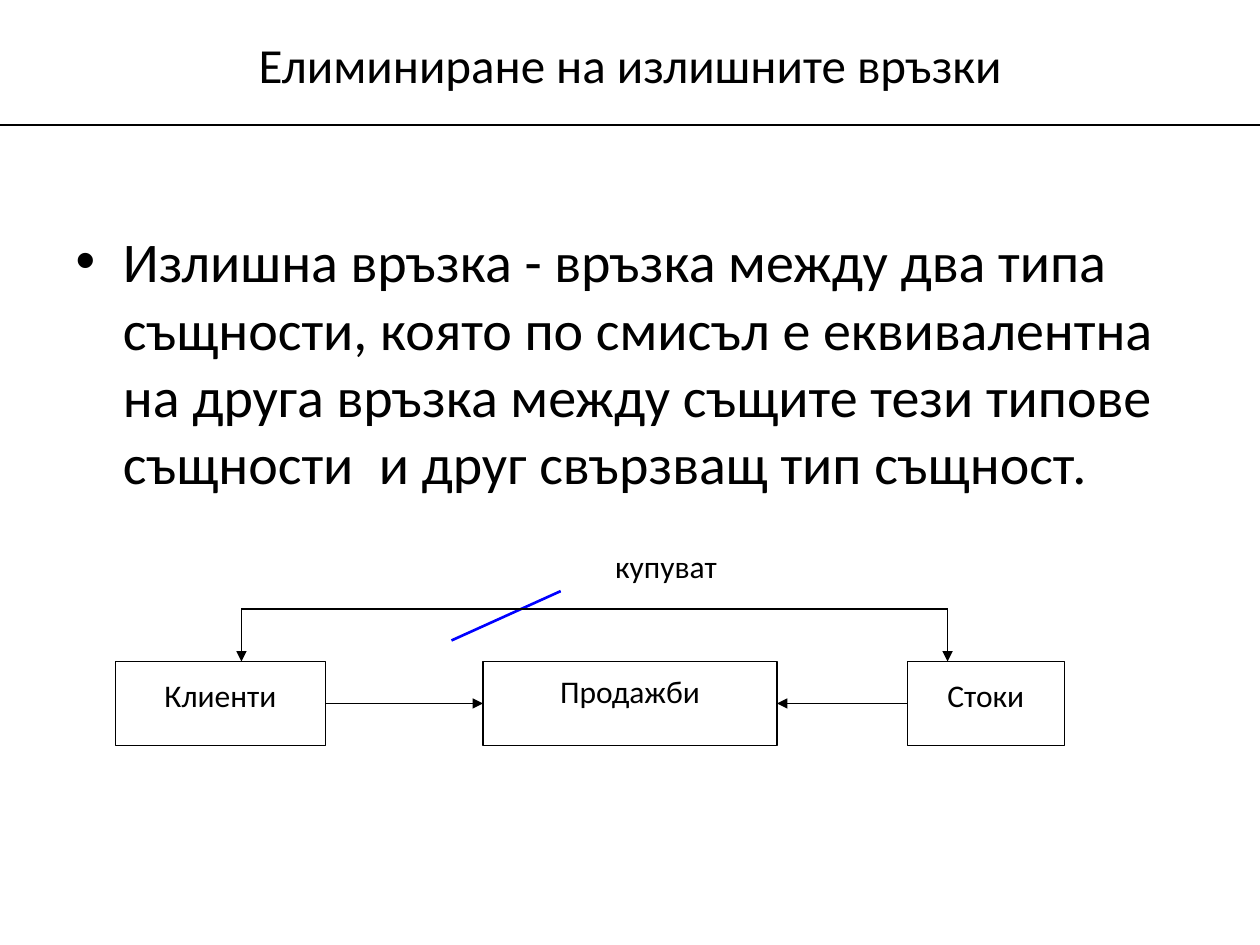
from lxml import etree
from pptx import Presentation
from pptx.dml.color import RGBColor
from pptx.enum.shapes import MSO_CONNECTOR, MSO_SHAPE
from pptx.enum.text import MSO_ANCHOR, MSO_AUTO_SIZE, PP_ALIGN
from pptx.oxml.ns import qn
from pptx.util import Inches, Pt

STRAIGHT = MSO_CONNECTOR.STRAIGHT
RECTANGLE = MSO_SHAPE.RECTANGLE
MIDDLE = MSO_ANCHOR.MIDDLE
GROW = MSO_AUTO_SIZE.SHAPE_TO_FIT_TEXT
NO_FIT = MSO_AUTO_SIZE.NONE
LEFT, CENTER = PP_ALIGN.LEFT, PP_ALIGN.CENTER
BLACK = RGBColor(0x00, 0x00, 0x00)
BLUE = RGBColor(0x00, 0x00, 0xFF)
FONT = "Calibri"
COLUMNS, ROWS = 120, 90
SLIDE_WIDTH, SLIDE_HEIGHT = Inches(10), Inches(7.5)
LEFT_SIDE, RIGHT_SIDE = 1, 3
BOX_TOP, BOX_HEIGHT = 63, 8
BRACKET_ROW, BRACKET_LEFT, BRACKET_RIGHT = 58, 23, 90.25


def across(columns):
    return round(SLIDE_WIDTH * columns / COLUMNS)


def down(rows):
    return round(SLIDE_HEIGHT * rows / ROWS)


def area(left, top, width, height):
    return across(left), down(top), across(width), down(height)


def write(shape, text, size=18, align=LEFT, wrap=True, fit=GROW):
    frame = shape.text_frame
    frame.word_wrap = wrap
    frame.auto_size = fit
    paragraph = frame.paragraphs[0]
    paragraph.alignment = align
    run = paragraph.add_run()
    run.text = text
    run.font.name = FONT
    run.font.size = Pt(size)
    run.font.color.rgb = BLACK


def fill_placeholder(shape, text, place, **text_format):
    shape.left, shape.top, shape.width, shape.height = area(*place)
    write(shape, text, fit=NO_FIT, **text_format)


def add_label(slide, text, place, **text_format):
    write(slide.shapes.add_textbox(*area(*place)), text, **text_format)


def add_box(slide, left, width):
    box = slide.shapes.add_shape(RECTANGLE, *area(left, BOX_TOP, width, BOX_HEIGHT))
    box.shadow.inherit = False
    box.fill.background()
    box.line.color.rgb = BLACK
    box.line.width = Pt(0.75)
    return box


def add_line(slide, start=(0, 0), end=(0, 0), color=BLACK, width=0.75, arrow=False):
    line = slide.shapes.add_connector(
        STRAIGHT, across(start[0]), down(start[1]), across(end[0]), down(end[1]))
    line.line.color.rgb = color
    line.line.width = Pt(width)
    properties = line._element.spPr
    etree.SubElement(properties, qn("a:effectLst"))
    if arrow:
        etree.SubElement(properties.find(qn("a:ln")), qn("a:tailEnd"), type="triangle")
    return line


def join(slide, source, source_side, target, target_side):
    line = add_line(slide, arrow=True)
    line.begin_connect(source, source_side)
    line.end_connect(target, target_side)


def main():
    """Build the slide about eliminating redundant relationships."""
    presentation = Presentation()
    presentation.slide_width, presentation.slide_height = SLIDE_WIDTH, SLIDE_HEIGHT
    slide = presentation.slides.add_slide(presentation.slide_layouts[1])
    title, body = slide.placeholders

    add_line(slide, (0, 11.9), (COLUMNS, 11.9))
    fill_placeholder(title, "Елиминиране на излишните връзки", (8.9, 2.6, 102.2, 7),
                     size=28, align=CENTER)
    title.text_frame.vertical_anchor = MIDDLE
    fill_placeholder(
        body,
        "Излишна връзка - връзка между два типа същности, която по смисъл е "
        "еквивалентна на друга връзка между същите тези типове същности  и друг "
        "свързващ тип същност.",
        (6, 21, 108, 59.4), size=32)

    clients = add_box(slide, 11, 20)
    sales = add_box(slide, 46, 28)
    goods = add_box(slide, 86.4, 15)
    join(slide, clients, RIGHT_SIDE, sales, LEFT_SIDE)
    join(slide, goods, LEFT_SIDE, sales, RIGHT_SIDE)

    for column in (BRACKET_LEFT, BRACKET_RIGHT):
        add_line(slide, (column, BRACKET_ROW), (column, BOX_TOP), arrow=True)
    add_line(slide, (53.4, 56.3), (43, 61), color=BLUE, width=1.5)

    add_label(slide, "Клиенти", (11, 63.8, 20, 4.8), align=CENTER)
    add_label(slide, "Продажби", (46, 63.4, 28, 4.8), align=CENTER)
    add_label(slide, "Cтоки", (89, 63.8, 9.8, 4.8), align=CENTER, wrap=False)
    add_line(slide, (BRACKET_LEFT, BRACKET_ROW), (BRACKET_RIGHT, BRACKET_ROW))
    add_label(slide, "купуват", (57.4, 51.5, 23.6, 6))

    presentation.save("out.pptx")


if __name__ == "__main__":
    main()
